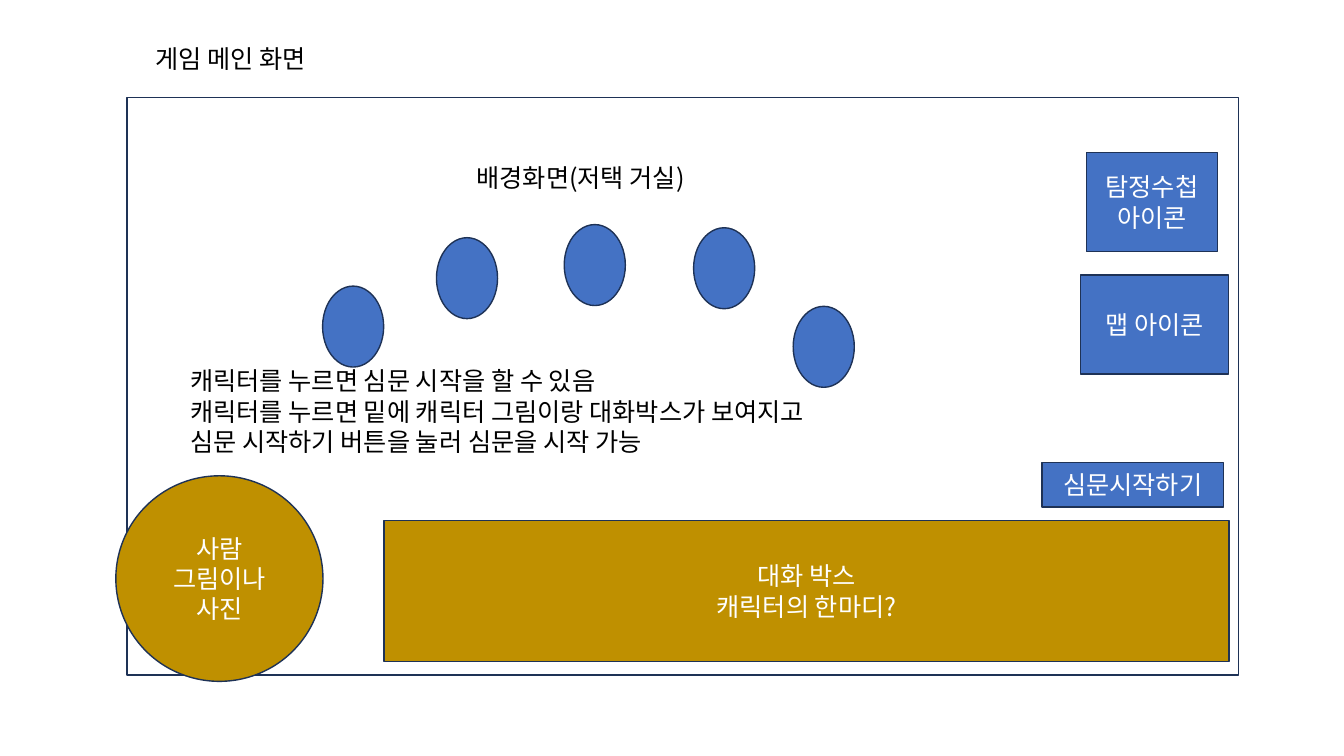
"""Build the wireframe slide of the game's main screen."""
from pptx import Presentation
from pptx import util as u
from pptx.dml.color import RGBColor
from pptx.enum import shapes, text
from pptx.oxml.ns import qn
from lxml import etree

FONT = "Noto Sans CJK KR"
BLUE, GOLD, NAVY = "4472C4", "BF9000", "1E3256"
RECT, OVAL = shapes.MSO_SHAPE.RECTANGLE, shapes.MSO_SHAPE.OVAL


def write(sp, words, color, align):
    tf = sp.text_frame
    tf.text = words
    for p in tf.paragraphs:
        p.alignment = align
        for r in p.runs:
            r.font.size = u.Pt(18)
            r.font.name = FONT
            r.font.color.rgb = RGBColor.from_string(color)
            etree.SubElement(r._r.get_or_add_rPr(), qn("a:ea"), typeface=FONT)
    return tf


def add_box(kind, box, fill=None, words=""):
    sp = s.shapes.add_shape(kind, *map(u.Cm, box))
    sp.shadow.inherit = False
    sp.line.color.rgb = RGBColor.from_string(NAVY)
    sp.line.width = u.Pt(1)
    if fill:
        sp.fill.solid()
        sp.fill.fore_color.rgb = RGBColor.from_string(fill)
    else:
        sp.fill.background()
    if words:
        tf = write(sp, words, "FFFFFF", text.PP_ALIGN.CENTER)
        tf.vertical_anchor = text.MSO_ANCHOR.MIDDLE


prs = Presentation()
prs.slide_width, prs.slide_height = u.Cm(33.87), u.Cm(19.05)
s = prs.slides.add_slide(prs.slide_layouts[6])

add_box(RECT, (3.2, 2.46, 28.02, 14.55))

for x, y in [(8.13, 7.21), (11, 5.99), (14.22, 5.66), (17.48, 5.74), (19.99, 7.72)]:
    add_box(OVAL, (x, y, 1.54, 2.04), BLUE)

labels = [
    ((3.66, 0.97, 4.83, 1.02), False, "게임 메인 화면"),
    ((11.76, 3.96, 9.32, 1.02), True, "배경화면(저택 거실)"),
    ((4.55, 9.09, 17.91, 2.57), False,
     "캐릭터를 누르면 심문 시작을 할 수 있음\n"
     "캐릭터를 누르면 밑에 캐릭터 그림이랑 대화박스가 보여지고\n"
     "심문 시작하기 버튼을 눌러 심문을 시작 가능"),
]
for box, wrap, words in labels:
    tf = write(s.shapes.add_textbox(*map(u.Cm, box)), words, "000000", text.PP_ALIGN.LEFT)
    tf.word_wrap = wrap
    tf.auto_size = text.MSO_AUTO_SIZE.SHAPE_TO_FIT_TEXT

panels = [
    (RECT, (27.38, 3.84, 3.3, 2.5), BLUE, "탐정수첩 아이콘"),
    (RECT, (27.23, 6.93, 3.73, 2.5), BLUE, "맵 아이콘"),
    (OVAL, (2.92, 11.99, 5.22, 5.18), GOLD, "사람 그림이나 사진"),
    (RECT, (9.68, 13.11, 21.29, 3.56), GOLD, "대화 박스\n캐릭터의 한마디?"),
    (RECT, (26.26, 11.66, 4.57, 1.12), BLUE, "심문시작하기"),
]
for panel in panels:
    add_box(*panel)

prs.save("out.pptx")
